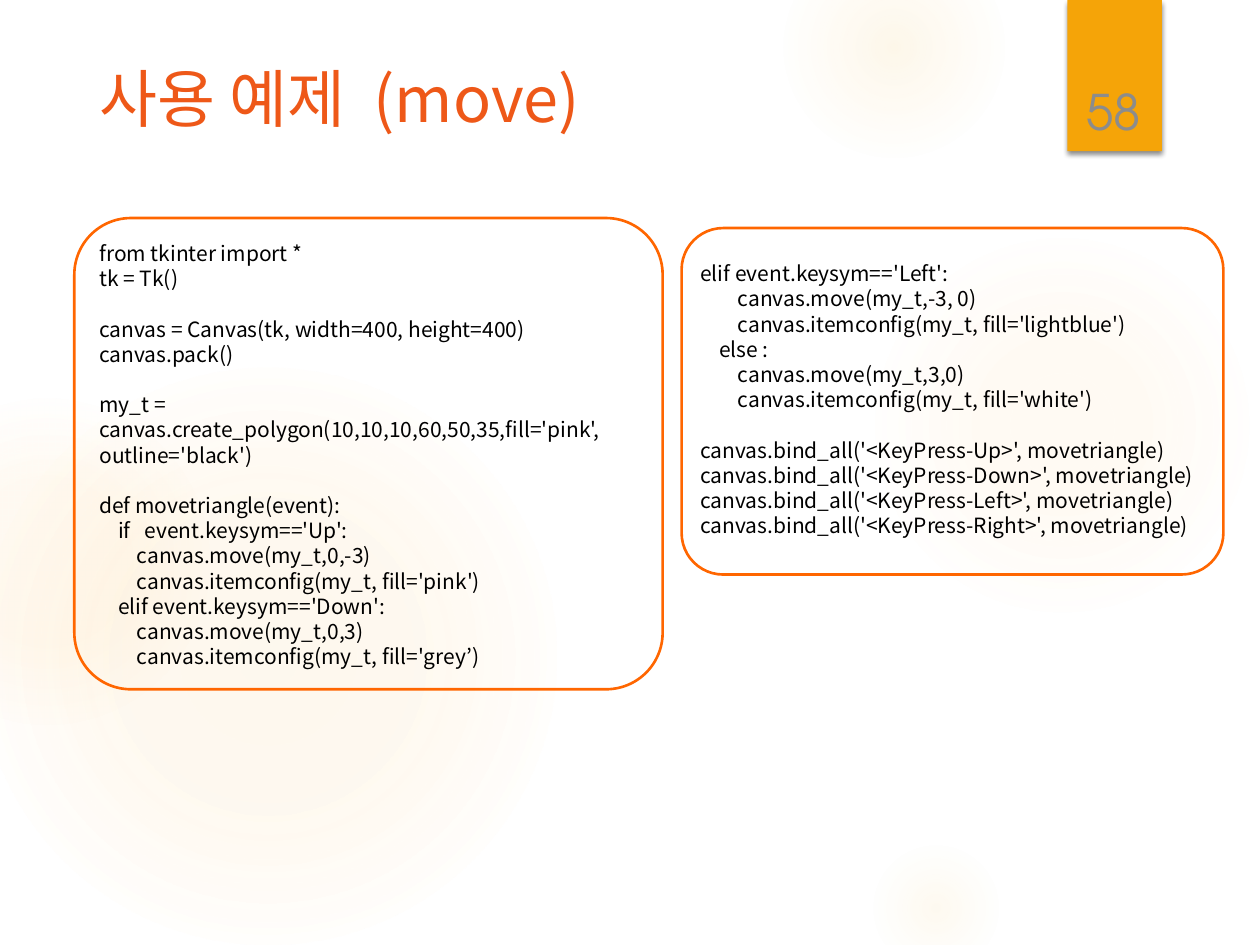
from lxml import etree
from pptx import Presentation
from pptx.dml.color import RGBColor
from pptx.enum.shapes import MSO_SHAPE
from pptx.enum.text import MSO_ANCHOR, PP_ALIGN
from pptx.oxml import parse_xml
from pptx.oxml.ns import qn
from pptx.util import Pt

OVAL, RECT, ROUND = MSO_SHAPE.OVAL, MSO_SHAPE.RECTANGLE, MSO_SHAPE.ROUNDED_RECTANGLE
TOP, BOTTOM = MSO_ANCHOR.TOP, MSO_ANCHOR.BOTTOM
LEFT, CENTER = PP_ALIGN.LEFT, PP_ALIGN.CENTER
NS = 'xmlns:a="http://schemas.openxmlformats.org/drawingml/2006/main"'
SANS, NUMERAL = "Noto Sans CJK KR", "TeX Gyre Adventor"


def rgb(color):
    return RGBColor.from_string(color)


def add_text(box, text, size, color, font=SANS, pitch=None, align=LEFT, anchor=TOP):
    s = slide.shapes.add_textbox(*map(Pt, box))
    tf = s.text_frame
    tf.word_wrap = True
    tf.vertical_anchor = anchor
    tf.text = text
    for p in tf.paragraphs:
        p.alignment = align
        if pitch:
            p.line_spacing = Pt(pitch)
        p.font.size = Pt(size)
        for r in p.runs:
            r.font.size = Pt(size)
            r.font.name = font
            r.font.color.rgb = rgb(color)
            ea = etree.SubElement(r.font._element, qn("a:ea"))
            ea.set("typeface", font)


prs = Presentation()
prs.slide_width, prs.slide_height = Pt(720), Pt(540)
slide = prs.slides.add_slide(prs.slide_layouts[6])

# Soft glows: left, top, diameter, then (position, opacity) of each stop in percent
glows = [
    (496, 132, 222, [(0, 7), (36, 6), (69, 0)]),
    (448, -36, 126, [(0, 14), (36, 7), (73, 0)]),
    (496, 480, 78, [(0, 10), (31, 5), (66, 0)]),
    (-12, 210, 330, [(0, 11), (36, 10), (75, 0)]),
    (-66, 228, 186, [(0, 8), (36, 8), (72, 0)]),
]
for x, y, d, stops in glows:
    s = slide.shapes.add_shape(OVAL, Pt(x), Pt(y), Pt(d), Pt(d))
    s.shadow.inherit = False
    s.line.fill.background()
    gs = "".join(
        f'<a:gs pos="{pos * 1000}"><a:srgbClr val="FAC96A">'
        f'<a:alpha val="{alpha * 1000}"/></a:srgbClr></a:gs>'
        for pos, alpha in stops)
    s._element.spPr.find(qn("a:prstGeom")).addnext(parse_xml(
        f'<a:gradFill {NS} rotWithShape="1"><a:gsLst>{gs}</a:gsLst><a:path path="circle">'
        '<a:fillToRect l="50000" t="50000" r="50000" b="50000"/></a:path></a:gradFill>'))

# Page number tab with its drop shadow
s = slide.shapes.add_shape(RECT, Pt(610), Pt(0), Pt(54), Pt(86.4))
s.shadow.inherit = False
s.fill.solid()
s.fill.fore_color.rgb = rgb("F5A408")
s.line.fill.background()
s._element.spPr.find(qn("a:effectLst")).append(parse_xml(
    f'<a:outerShdw {NS} blurRad="{Pt(3)}" dist="{Pt(2)}" dir="5400000" rotWithShape="0">'
    '<a:srgbClr val="000000"><a:alpha val="45000"/></a:srgbClr></a:outerShdw>'))

# Title
add_text((49.7, 28.8, 620.6, 87.8), "사용 예제  (move)", 36, "EE5818", pitch=45)

# Code listing in two framed columns
code_left = """from tkinter import *
tk = Tk()

canvas = Canvas(tk, width=400, height=400)
canvas.pack()

my_t = canvas.create_polygon(10,10,10,60,50,35,fill='pink', outline='black')

def movetriangle(event):
    if   event.keysym=='Up':
        canvas.move(my_t,0,-3)
        canvas.itemconfig(my_t, fill='pink')
    elif event.keysym=='Down':
        canvas.move(my_t,0,3)
        canvas.itemconfig(my_t, fill='grey’)"""
code_right = """elif event.keysym=='Left':
        canvas.move(my_t,-3, 0)
        canvas.itemconfig(my_t, fill='lightblue')
    else :
        canvas.move(my_t,3,0)
        canvas.itemconfig(my_t, fill='white')

canvas.bind_all('<KeyPress-Up>', movetriangle)
canvas.bind_all('<KeyPress-Down>', movetriangle)
canvas.bind_all('<KeyPress-Left>', movetriangle)
canvas.bind_all('<KeyPress-Right>', movetriangle)"""
columns = [
    (code_left, (49.7, 133.9, 332.6, 283.7), (42.5, 124.6, 336.2, 269.3)),
    (code_right, (393.1, 145.4, 332.6, 167), (389.5, 130.3, 309.6, 198)),
]
for code, text_box, frame in columns:
    add_text(text_box, code, 12, "000000", pitch=14.4)
    s = slide.shapes.add_shape(ROUND, *map(Pt, frame))
    s.adjustments[0] = 0.12
    s.shadow.inherit = False
    s.fill.background()
    s.line.color.rgb = rgb("FF6600")
    s.line.width = Pt(1.5)

# Page number
add_text((611.3, 23, 49.7, 60.5), "58", 28, "8C8C8C", NUMERAL, align=CENTER, anchor=BOTTOM)

prs.save("out.pptx")
